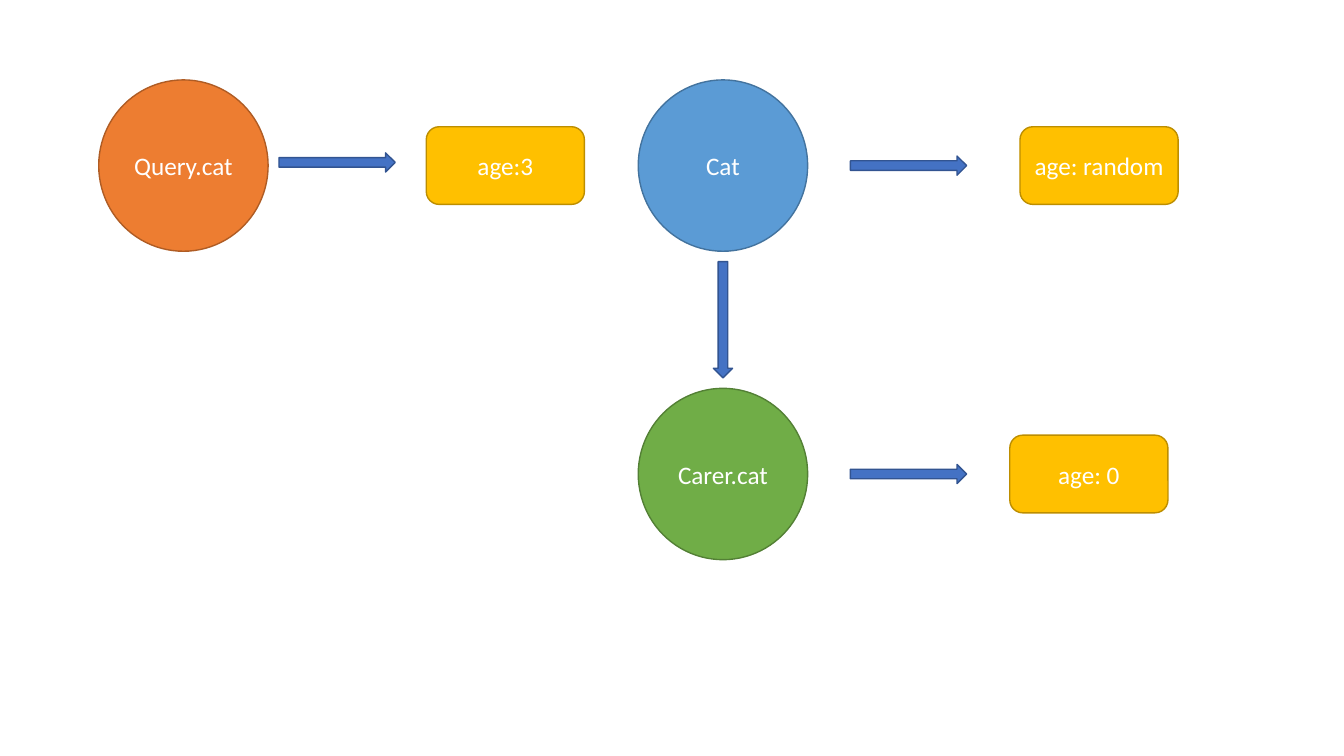
from dataclasses import dataclass

from pptx import Presentation
from pptx.dml.color import RGBColor
from pptx.enum.shapes import MSO_SHAPE as Preset
from pptx.enum.text import MSO_ANCHOR as Anchor, PP_ALIGN as Align
from pptx.slide import Slide
from pptx.util import Pt


@dataclass(frozen=True)
class Paint:
    """Fill and outline colours of one kind of shape."""
    fill: str
    line: str


@dataclass(frozen=True)
class Theme:
    """Colours and type sizes of the slide."""
    query: Paint = Paint("ED7D31", "AF5C24")
    cat: Paint = Paint("5B9BD5", "43739E")
    carer: Paint = Paint("70AD47", "538035")
    age: Paint = Paint("FFC000", "BD8E00")
    arrow: Paint = Paint("4472C4", "325491")
    text: str = "FFFFFF"
    font: str = "Calibri"
    text_size: float = 18
    line_width: float = 1


@dataclass(frozen=True)
class Form:
    """Preset outline with its width and height in points."""
    preset: Preset
    width: float
    height: float


@dataclass(frozen=True)
class Node:
    """A shape placed by its centre, in points."""
    form: Form
    x: float
    y: float
    paint: Paint
    label: str = ""
    rotation: float = 0


THEME = Theme()
TYPE_CIRCLE = Form(Preset.FLOWCHART_CONNECTOR, 121, 122.4)
AGE_BOX = Form(Preset.ROUNDED_RECTANGLE, 113, 55.5)
ARROW = Form(Preset.RIGHT_ARROW, 83, 13.7)

TOP_ROW, BOTTOM_ROW = 118.3, 338.6
QUERY_X, CAT_X = 131, 516.4
CAT_ARROW_X = 649

NODES = (
    Node(TYPE_CIRCLE, QUERY_X, TOP_ROW, THEME.query, "Query.cat"),
    Node(TYPE_CIRCLE, CAT_X, BOTTOM_ROW, THEME.carer, "Carer.cat"),
    Node(TYPE_CIRCLE, CAT_X, TOP_ROW, THEME.cat, "Cat"),
    Node(ARROW, 240.8, TOP_ROW - 2.3, THEME.arrow),
    Node(AGE_BOX, 361, TOP_ROW, THEME.age, "age:3"),
    Node(ARROW, CAT_ARROW_X, TOP_ROW, THEME.arrow),
    Node(AGE_BOX, 785.1, TOP_ROW, THEME.age, "age: random"),
    Node(ARROW, CAT_X, (TOP_ROW + BOTTOM_ROW) / 2, THEME.arrow, rotation=90),
    Node(ARROW, CAT_ARROW_X, BOTTOM_ROW, THEME.arrow),
    Node(AGE_BOX, 777.8, BOTTOM_ROW, THEME.age, "age: 0"),
)


def draw_node(slide: Slide, node: Node) -> None:
    """Draw one node with its colours, rotation and label."""
    form = node.form
    shape = slide.shapes.add_shape(
        form.preset,
        Pt(node.x - form.width / 2), Pt(node.y - form.height / 2),
        Pt(form.width), Pt(form.height),
    )
    shape.rotation = node.rotation
    shape.shadow.inherit = False
    shape.fill.solid()
    shape.fill.fore_color.rgb = RGBColor.from_string(node.paint.fill)
    shape.line.color.rgb = RGBColor.from_string(node.paint.line)
    shape.line.width = Pt(THEME.line_width)
    if node.label:
        write_label(shape.text_frame, node.label)


def write_label(frame, label: str) -> None:
    """Write a centred label into a shape's text frame."""
    frame.text = label
    frame.word_wrap = True
    frame.vertical_anchor = Anchor.MIDDLE
    paragraph = frame.paragraphs[0]
    paragraph.alignment = Align.CENTER
    font = paragraph.runs[0].font
    font.name = THEME.font
    font.size = Pt(THEME.text_size)
    font.color.rgb = RGBColor.from_string(THEME.text)


def main() -> None:
    """Build the slide and save it."""
    deck = Presentation()
    deck.slide_width, deck.slide_height = Pt(960), Pt(540)
    slide = deck.slides.add_slide(deck.slide_layouts[6])
    for node in NODES:
        draw_node(slide, node)
    deck.save("out.pptx")


main()
